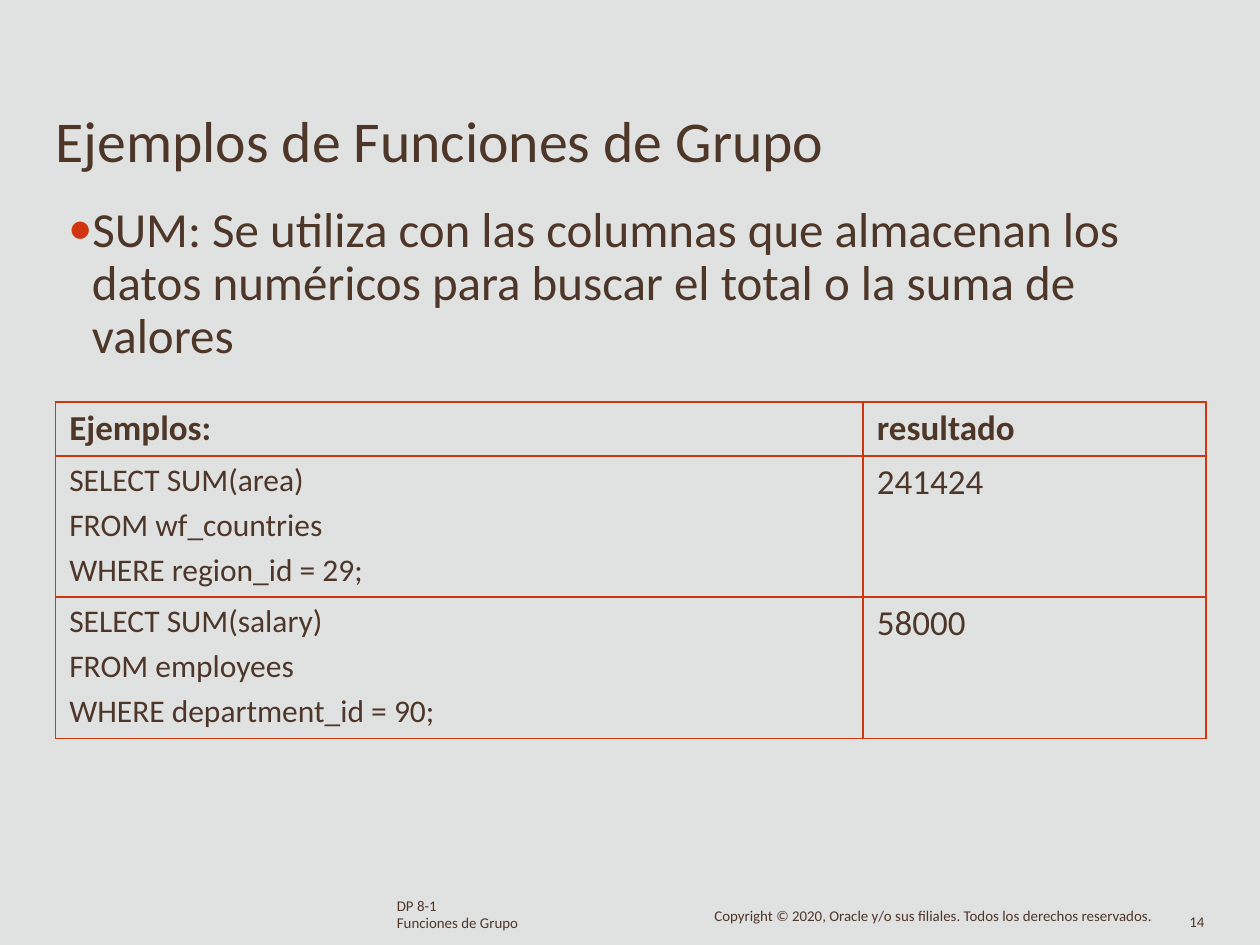
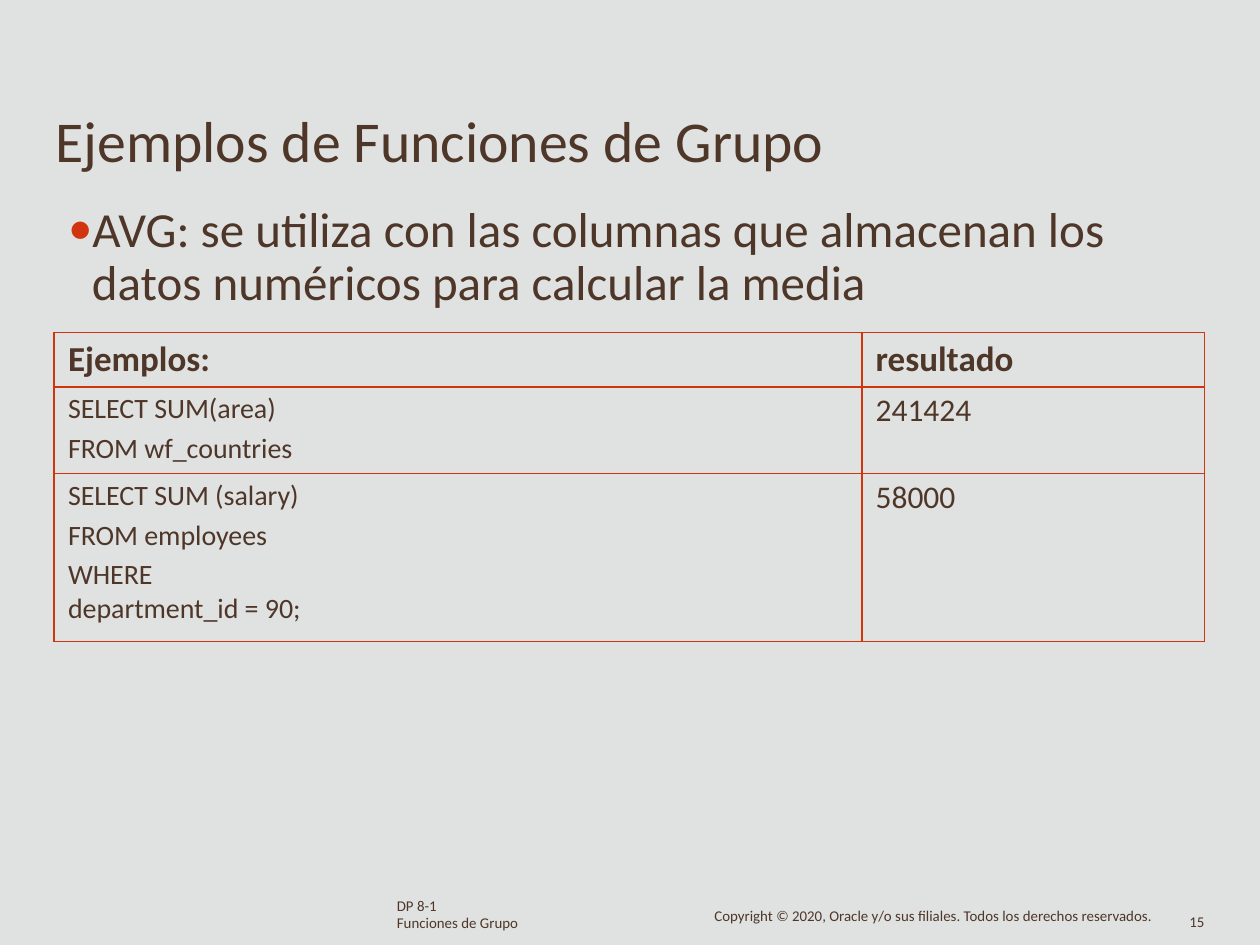
from dataclasses import dataclass

from lxml import etree
from pptx import Presentation
from pptx.dml.color import RGBColor
from pptx.enum.text import MSO_ANCHOR, MSO_AUTO_SIZE, PP_ALIGN
from pptx.oxml.ns import qn
from pptx.util import Inches, Pt

TOP = MSO_ANCHOR.TOP
NO_AUTOFIT = MSO_AUTO_SIZE.NONE
LEFT = PP_ALIGN.LEFT
TITLE_ONLY = 5


@dataclass(frozen=True)
class Theme:
    """Colours, font and type sizes of the deck."""
    font: str = "Calibri"
    ink: str = "4E3629"
    accent: str = "D1350F"
    paper: str = "E0E2E1"
    title: float = 33
    body: float = 28
    header: float = 20
    footer: float = 8.5


@dataclass(frozen=True)
class Example:
    """Content and table metrics of one group function slide."""
    page: int
    definition: str
    table_left: float
    table_top: float
    row_heights: tuple
    queries: tuple
    query_size: float
    result_size: float
    query_gap: float


THEME = Theme()
TITLE = "Ejemplos de Funciones de Grupo"
HEADERS = ("Ejemplos:", "resultado")
COLUMN_WIDTHS = (6.41, 2.72)
LESSON = ("DP 8-1", "Funciones de Grupo")
COPYRIGHT = "Copyright © 2020, Oracle y/o sus filiales. Todos los derechos reservados."

EXAMPLES = (
    Example(
        14,
        "SUM: Se utiliza con las columnas que almacenan los datos numéricos "
        "para buscar el total o la suma de valores",
        0.44, 3.19, (0.43, 1.12, 1.12),
        (
            (("SELECT SUM(area)", "FROM wf_countries", "WHERE region_id = 29;"), "241424"),
            (("SELECT SUM(salary)", "FROM employees", "WHERE department_id = 90;"), "58000"),
        ),
        18, 20, 3.7,
    ),
    Example(
        15,
        "AVG: se utiliza con las columnas que almacenan los datos numéricos "
        "para calcular la media",
        0.43, 2.64, (0.43, 0.69, 1.33),
        (
            (("SELECT SUM(area)", "FROM wf_countries"), "241424"),
            (("SELECT SUM (salary)", "FROM employees", "WHERE\vdepartment_id = 90;"), "58000"),
        ),
        16, 18, 3.1,
    ),
)


def write_lines(frame, lines, size, bold=False, spacing=None, gap=0):
    """Write each line as a paragraph, with any vertical tab as a line break."""
    for index, line in enumerate(lines):
        paragraph = frame.paragraphs[0] if index == 0 else frame.add_paragraph()
        paragraph.alignment = LEFT
        if spacing:
            paragraph.line_spacing = Pt(spacing)
        if index and gap:
            paragraph.space_before = Pt(gap)
        for part_index, part in enumerate(line.split("\v")):
            if part_index:
                paragraph.add_line_break()
            run = paragraph.add_run()
            run.text = part
            run.font.name = THEME.font
            run.font.size = Pt(size)
            run.font.bold = bold
            run.font.color.rgb = RGBColor.from_string(THEME.ink)


def prepare_frame(frame, top_inset):
    """Set a wrapping, top-anchored frame with hardly any insets."""
    frame.word_wrap = True
    frame.auto_size = NO_AUTOFIT
    frame.vertical_anchor = TOP
    frame.margin_left = Inches(0.01)
    frame.margin_right = frame.margin_bottom = 0
    frame.margin_top = Inches(top_inset)


def add_text(slide, box, lines, size, top_inset=0, spacing=None):
    """Add a text box and return its frame."""
    frame = slide.shapes.add_textbox(*map(Inches, box)).text_frame
    prepare_frame(frame, top_inset)
    write_lines(frame, lines, size, spacing=spacing)
    return frame


def add_title(slide):
    """Place and fill the title placeholder."""
    title = slide.shapes.title
    title.left, title.top, title.width, title.height = map(Inches, (0.43, 0.82, 6.92, 0.58))
    prepare_frame(title.text_frame, 0.01)
    write_lines(title.text_frame, [TITLE], THEME.title)


def add_definition(slide, text):
    """Add the bulleted definition of the function."""
    frame = add_text(slide, (0.53, 1.55, 8.38, 1.33), [text], THEME.body, 0.07, 30.3)
    frame.margin_left = 0
    properties = frame.paragraphs[0]._p.get_or_add_pPr()
    properties.set("marL", str(Inches(0.2)))
    properties.set("indent", str(Inches(-0.19)))
    bullet_color = etree.SubElement(properties, qn("a:buClr"))
    etree.SubElement(bullet_color, qn("a:srgbClr"), val=THEME.accent)
    etree.SubElement(properties, qn("a:buFont"), typeface=THEME.font)
    etree.SubElement(properties, qn("a:buChar"), char="•")


def fill_cell(cell, lines, size, bold=False, gap=0):
    """Write a transparent cell framed in the accent colour."""
    cell.margin_left = Inches(0.11)
    cell.margin_top = Inches(0.04)
    cell.margin_right = cell.margin_bottom = 0
    cell.vertical_anchor = TOP
    properties = cell._tc.get_or_add_tcPr()
    for side in ("lnL", "lnR", "lnT", "lnB"):
        border = etree.SubElement(properties, qn(f"a:{side}"), w=str(Pt(1)))
        border_fill = etree.SubElement(border, qn("a:solidFill"))
        etree.SubElement(border_fill, qn("a:srgbClr"), val=THEME.accent)
    cell.fill.background()
    write_lines(cell.text_frame, lines, size, bold, gap=gap)


def add_examples(slide, example):
    """Add the table of queries and their results."""
    heights = example.row_heights
    box = (example.table_left, example.table_top, sum(COLUMN_WIDTHS), sum(heights))
    table = slide.shapes.add_table(len(heights), len(HEADERS), *map(Inches, box)).table
    table.horz_banding = False
    for column, width in zip(table.columns, COLUMN_WIDTHS):
        column.width = Inches(width)
    for row, height in zip(table.rows, heights):
        row.height = Inches(height)
    for column_index, header in enumerate(HEADERS):
        fill_cell(table.cell(0, column_index), [header], THEME.header, bold=True)
    for row_index, (query, result) in enumerate(example.queries, start=1):
        fill_cell(table.cell(row_index, 0), query, example.query_size, gap=example.query_gap)
        fill_cell(table.cell(row_index, 1), [result], example.result_size)


def add_footer(slide, page):
    """Add the lesson name, the copyright line and the page number."""
    add_text(slide, (3.14, 7.12, 1.2, 0.27), LESSON, THEME.footer, spacing=9.7)
    add_text(slide, (5.66, 7.21, 3.6, 0.15), [COPYRIGHT], THEME.footer, spacing=9.1)
    add_text(slide, (9.43, 7.21, 0.19, 0.2), [str(page)], THEME.footer, 0.03)


def main():
    """Build and save the deck."""
    deck = Presentation()
    deck.slide_width, deck.slide_height = Inches(10), Inches(7.5)
    background = deck.slide_master.background.fill
    background.solid()
    background.fore_color.rgb = RGBColor.from_string(THEME.paper)
    for example in EXAMPLES:
        slide = deck.slides.add_slide(deck.slide_layouts[TITLE_ONLY])
        add_title(slide)
        add_footer(slide, example.page)
        add_definition(slide, example.definition)
        add_examples(slide, example)
    deck.save("out.pptx")


if __name__ == "__main__":
    main()
